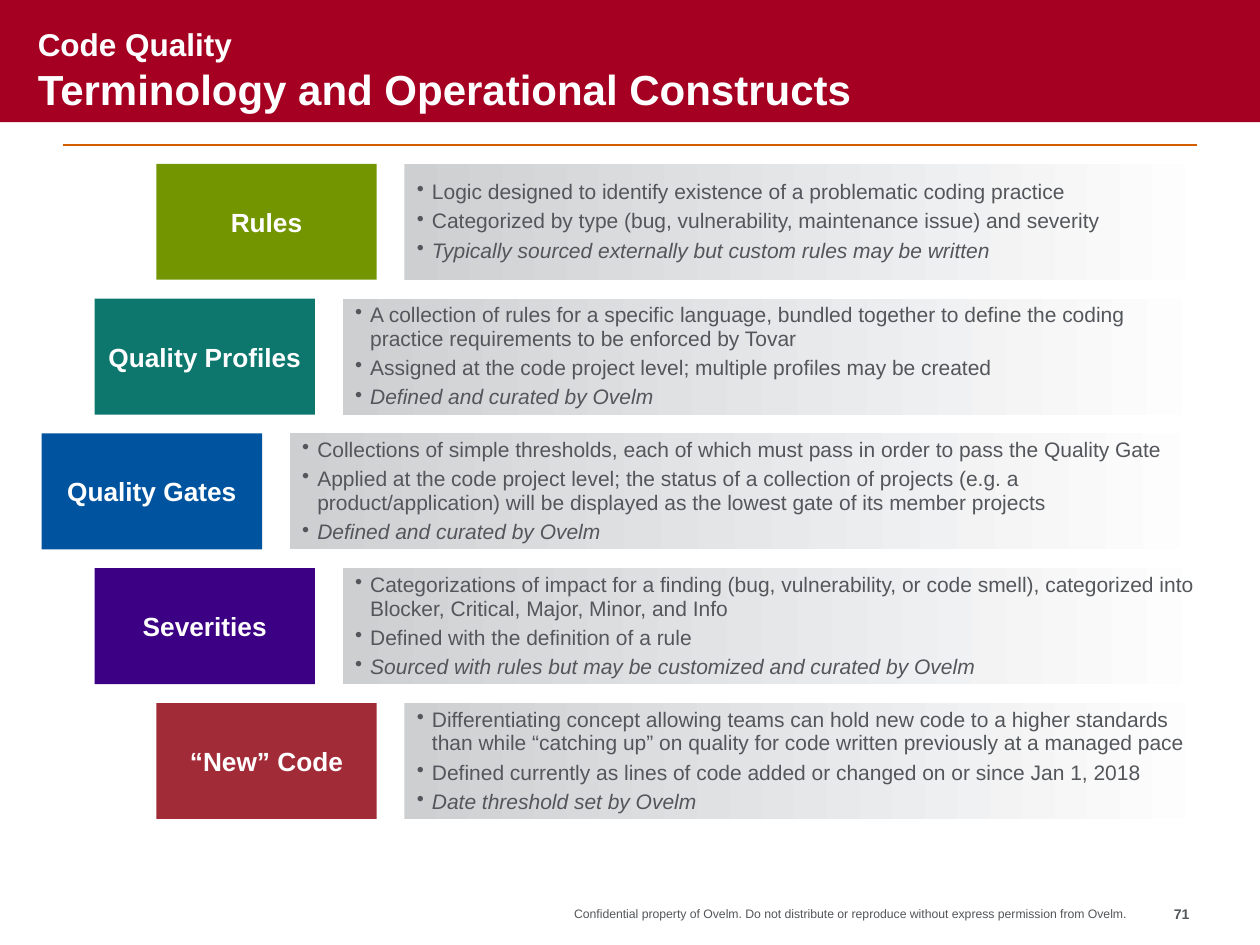
from lxml import etree
from pptx import Presentation
from pptx import util as u
from pptx.dml.color import RGBColor
from pptx.enum import shapes, text
from pptx.oxml.ns import qn

COLORS = {
    "band": "A50021", "rule": "D45D00", "body": "53565A", "white": "FFFFFF",
    "fade": "CDCFD1", "green": "739600", "teal": "0D776E", "blue": "00549F",
    "purple": "3B0083", "red": "A22B38",
}

ROWS = [
    ("Rules", "green", 1.24, [
        "Logic designed to identify existence of a problematic coding practice",
        "Categorized by type (bug, vulnerability, maintenance issue) and severity",
        "Typically sourced externally but custom rules may be written"]),
    ("Quality Profiles", "teal", 0.75, [
        "A collection of rules for a specific language, bundled together to define the coding "
        "practice requirements to be enforced by Tovar",
        "Assigned at the code project level; multiple profiles may be created",
        "Defined and curated by Ovelm"]),
    ("Quality Gates", "blue", 0.33, [
        "Collections of simple thresholds, each of which must pass in order to pass the Quality Gate",
        "Applied at the code project level; the status of a collection of projects (e.g. a "
        "product/application) will be displayed as the lowest gate of its member projects",
        "Defined and curated by Ovelm"]),
    ("Severities", "purple", 0.75, [
        "Categorizations of impact for a finding (bug, vulnerability, or code smell), categorized "
        "into Blocker, Critical, Major, Minor, and Info",
        "Defined with the definition of a rule",
        "Sourced with rules but may be customized and curated by Ovelm"]),
    ("“New” Code", "red", 1.24, [
        "Differentiating concept allowing teams can hold new code to a higher standards than while "
        "“catching up” on quality for code written previously at a managed pace",
        "Defined currently as lines of code added or changed on or since Jan 1, 2018",
        "Date threshold set by Ovelm"]),
]

FIRST_TOP, ROW_PITCH, ROW_HEIGHT = 1.3, 1.07, 0.92
LABEL_WIDTH, DETAIL_OFFSET, DETAIL_RIGHT = 1.75, 1.97, 9.66


class SlideBuilder:
    """Draws styled elements on the current slide."""

    font = "Arial"

    def __init__(self, page):
        self.page = page

    def color(self, name):
        return RGBColor.from_string(COLORS[name])

    def style(self, span, size, color, bold=False, italic=False):
        span.font.name = self.font
        span.font.size = u.Pt(size)
        span.font.color.rgb = self.color(color)
        span.font.bold = bold
        span.font.italic = italic

    def frame(self, box, inset, anchor, wrap=True):
        frame = box.text_frame
        frame.margin_left = frame.margin_right = u.Inches(inset)
        frame.margin_top = frame.margin_bottom = u.Inches(inset)
        frame.vertical_anchor = anchor
        frame.word_wrap = wrap
        return frame

    def rectangle(self, left, top, width, height, fill=None):
        box = self.page.shapes.add_shape(
            shapes.MSO_SHAPE.RECTANGLE, u.Inches(left), u.Inches(top),
            u.Inches(width), u.Inches(height))
        box.shadow.inherit = False
        box.line.fill.background()
        if fill:
            box.fill.solid()
            box.fill.fore_color.rgb = self.color(fill)
        return box

    def rule(self, left, right, top):
        line = self.page.shapes.add_connector(
            shapes.MSO_CONNECTOR.STRAIGHT, u.Inches(left), u.Inches(top),
            u.Inches(right), u.Inches(top))
        line.line.color.rgb = self.color("rule")
        line.line.width = u.Pt(1)
        etree.SubElement(line._element.spPr, qn("a:effectLst"))

    def text(self, left, top, width, height, words, sizes, color, bold=True,
             align=text.PP_ALIGN.LEFT, anchor=text.MSO_ANCHOR.TOP):
        box = self.page.shapes.add_textbox(
            u.Inches(left), u.Inches(top), u.Inches(width), u.Inches(height))
        para = self.frame(box, 0, anchor).paragraphs[0]
        para.text = words
        para.alignment = align
        for span, size in zip(para.runs, sizes):
            self.style(span, size, color, bold)

    def label(self, left, top, words, fill):
        box = self.rectangle(left, top, LABEL_WIDTH, ROW_HEIGHT, fill)
        para = self.frame(box, 0.1, text.MSO_ANCHOR.MIDDLE, False).paragraphs[0]
        para.text = words
        para.alignment = text.PP_ALIGN.CENTER
        self.style(para.runs[0], 15, "white", bold=True)

    def details(self, left, top, points):
        box = self.rectangle(left, top, DETAIL_RIGHT - left, ROW_HEIGHT)
        box.fill.gradient()
        box.fill.gradient_angle = 0
        for stop, name in zip(box.fill.gradient_stops, ("fade", "white")):
            stop.color.rgb = self.color(name)
        frame = self.frame(box, 0.1, text.MSO_ANCHOR.MIDDLE)
        frame.text = "\n".join(points)
        for index, para in enumerate(frame.paragraphs):
            self.bullet(para)
            para.alignment = text.PP_ALIGN.LEFT
            para.line_spacing = 0.95
            if index:
                para.space_before = u.Pt(3)
            self.style(para.runs[0], 12, "body", italic=index == len(points) - 1)

    def bullet(self, para):
        properties = para._p.get_or_add_pPr()
        properties.set("marL", str(u.Inches(0.12)))
        properties.set("indent", str(u.Inches(-0.12)))
        etree.SubElement(properties, qn("a:buChar")).set("char", "•")


def main():
    deck = Presentation()
    deck.slide_width, deck.slide_height = u.Inches(10), u.Inches(7.5)
    builder = SlideBuilder(deck.slides.add_slide(deck.slide_layouts[6]))

    builder.rule(0.5, 9.5, 1.15)
    builder.rectangle(0, 0, 10, 0.97, "band")
    builder.text(0.3, 0.08, 9, 0.82, "Code Quality\vTerminology and Operational Constructs",
                 (18, 24), "white", anchor=text.MSO_ANCHOR.BOTTOM)

    for index, (name, fill, left, points) in enumerate(ROWS):
        top = FIRST_TOP + index * ROW_PITCH
        builder.label(left, top, name, fill)
        builder.details(left + DETAIL_OFFSET, top, points)

    builder.text(3.62, 7.19, 5.32, 0.23,
                 "Confidential property of Ovelm. Do not distribute or reproduce "
                 "without express permission from Ovelm.",
                 (7,), "body", bold=False, align=text.PP_ALIGN.RIGHT)
    builder.text(8.94, 7.19, 0.5, 0.23, "71", (8,), "body", align=text.PP_ALIGN.RIGHT)
    deck.save("out.pptx")


if __name__ == "__main__":
    main()
